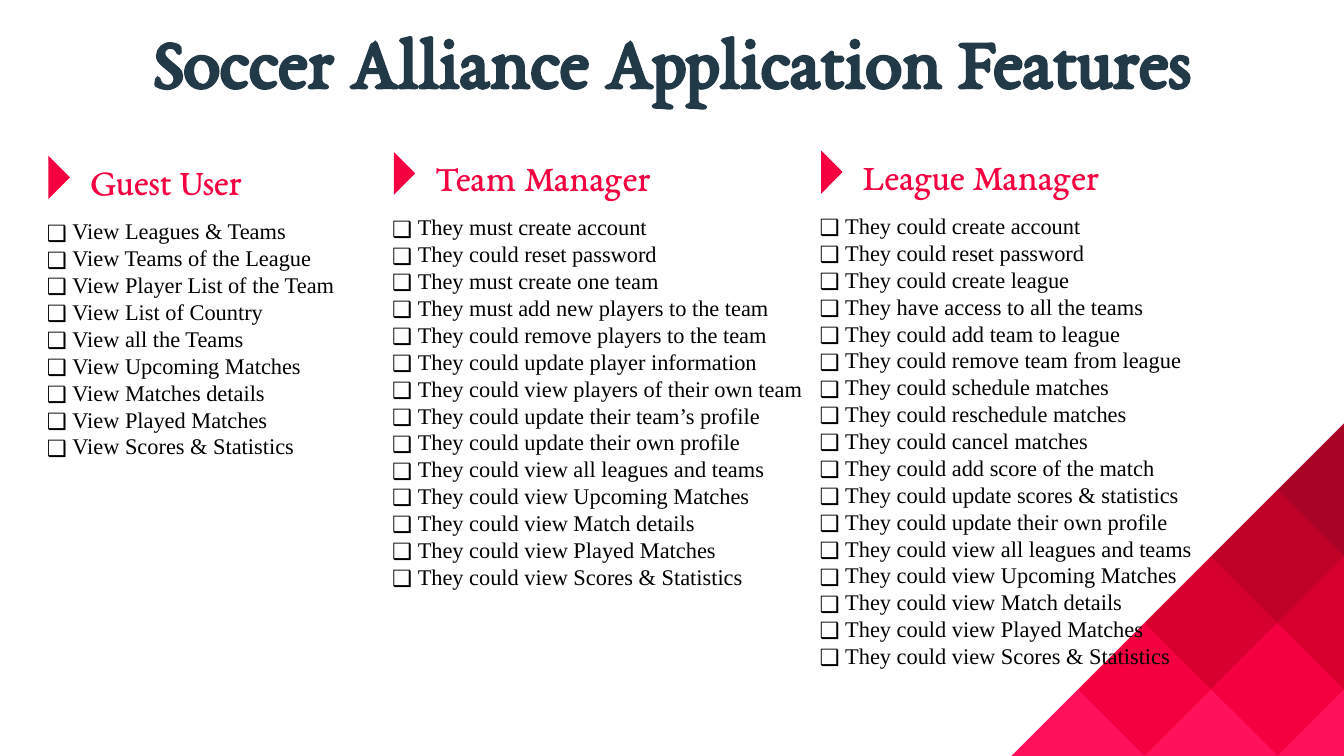
from lxml import etree
from pptx import Presentation
from pptx.dml.color import RGBColor
from pptx.enum.shapes import MSO_SHAPE as Shape
from pptx.enum.text import MSO_ANCHOR as Anchor, MSO_AUTO_SIZE as AutoSize, PP_ALIGN as Align
from pptx.oxml.ns import qn
from pptx.util import Inches, Pt

COLORS = {
    "navy": "223947", "black": "000000", "red": "F40040", "pink": "FF125B",
    "crimson": "D6002E", "dark": "BF0225", "maroon": "A80428",
}
HEADING_FONT, BODY_FONT = "EB Garamond", "Times New Roman"
SLIDE_W, SLIDE_H = 10, 5.625

# left, top, list width, heading width, heading, features
ROLES = [
    (0.25, 1.13, 2.52, 1.8, "Guest User", [
        "View Leagues & Teams",
        "View Teams of the League",
        "View Player List of the Team",
        "View List of Country",
        "View all the Teams",
        "View Upcoming Matches",
        "View Matches details",
        "View Played Matches",
        "View Scores & Statistics",
    ]),
    (2.82, 1.1, 3.3, 2.17, "Team Manager", [
        "They must create account",
        "They could reset password",
        "They must create one team",
        "They must add new players to the team",
        "They could remove players to the team",
        "They could update player information",
        "They could view players of their own team",
        "They could update their team’s profile",
        "They could update their own profile",
        "They could view all leagues and teams",
        "They could view Upcoming Matches",
        "They could view Match details",
        "They could view Played Matches",
        "They could view Scores & Statistics",
    ]),
    (6.0, 1.09, 3.88, 2.44, "League Manager", [
        "They could create account",
        "They could reset password",
        "They could create league",
        "They have access to all the teams",
        "They could add team to league",
        "They could remove team from league",
        "They could schedule matches",
        "They could reschedule matches",
        "They could cancel matches",
        "They could add score of the match",
        "They could update scores & statistics",
        "They could update their own profile",
        "They could view all leagues and teams",
        "They could view Upcoming Matches",
        "They could view Match details",
        "They could view Played Matches",
        "They could view Scores & Statistics",
    ]),
]


def add_piece(slide, preset, center_x, center_y, width, height, color, rotation=0):
    """Add a plain filled shape around its center, in inches."""
    piece = slide.shapes.add_shape(
        preset, Inches(center_x - width / 2), Inches(center_y - height / 2),
        Inches(width), Inches(height))
    piece.rotation = rotation
    piece.shadow.inherit = False
    piece.fill.solid()
    piece.fill.fore_color.rgb = RGBColor.from_string(COLORS[color])
    piece.line.fill.background()


def add_run(paragraph, text, font_name, size, color, bold=False):
    run = paragraph.add_run()
    run.text = text
    run.font.name = font_name
    run.font.size = Pt(size)
    run.font.bold = bold
    run.font.color.rgb = RGBColor.from_string(COLORS[color])


def add_text_frame(slide, left, top, width, height):
    box = slide.shapes.add_textbox(
        Inches(left), Inches(top), Inches(width), Inches(height))
    box.text_frame.word_wrap = True
    box.text_frame.auto_size = AutoSize.SHAPE_TO_FIT_TEXT
    return box.text_frame


def add_checkbox_bullet(paragraph):
    properties = paragraph._p.get_or_add_pPr()
    properties.set("marL", str(Inches(0.19)))
    properties.set("indent", str(-Inches(0.19)))
    bullet_color = etree.SubElement(properties, qn("a:buClr"))
    etree.SubElement(bullet_color, qn("a:srgbClr"), val=COLORS["black"])
    etree.SubElement(properties, qn("a:buFont"), typeface="Noto Sans Symbols")
    etree.SubElement(properties, qn("a:buChar"), char="❑")


def add_corner_mosaic(slide, right, bottom):
    """Diamond tiles on a half-diagonal grid counted from the bottom right corner."""
    half, tile, corner = 0.495, 0.7, 2.46
    add_piece(slide, Shape.RIGHT_TRIANGLE, right - corner / 2, bottom - corner / 2,
              corner, corner, "pink", 270)
    for column, row, color in [(2, 2, "crimson"), (1, 3, "dark"),
                               (1, 1, "red"), (3, 1, "red")]:
        add_piece(slide, Shape.RECTANGLE, right - column * half, bottom - row * half,
                  tile, tile, color, 135)
    for column in (2, 4):
        add_piece(slide, Shape.ISOSCELES_TRIANGLE, right - column * half,
                  bottom - half / 2, 2 * half, half, "pink")
    for row, color in [(2, "crimson"), (4, "maroon")]:
        add_piece(slide, Shape.ISOSCELES_TRIANGLE, right - half / 2,
                  bottom - row * half, 2 * half, half, color, 270)
    add_piece(slide, Shape.RIGHT_TRIANGLE, right - half / 2, bottom - half / 2,
              half, half, "pink", 270)


def add_title(slide, left, top, width, height):
    title = slide.shapes.title
    title.left, title.top = Inches(left), Inches(top)
    title.width, title.height = Inches(width), Inches(height)
    frame = title.text_frame
    frame.margin_left = frame.margin_right = Inches(0.1)
    frame.margin_top = frame.margin_bottom = Inches(0.1)
    frame.vertical_anchor = Anchor.TOP
    frame.auto_size = AutoSize.NONE
    heading = frame.paragraphs[0]
    heading.alignment = Align.CENTER
    add_run(heading, "Soccer Alliance Application Features",
            HEADING_FONT, 40, "navy", bold=True)
    # Bring the title in front of the mosaic
    slide.shapes._spTree.append(title._element)


def add_role_column(slide, left, top, width, heading_width, role, features):
    add_piece(slide, Shape.ISOSCELES_TRIANGLE, left + 0.19, top + 0.19,
              0.32, 0.16, "red", 90)
    heading = add_text_frame(slide, left + 0.32, top, heading_width, 0.44)
    add_run(heading.paragraphs[0], role, HEADING_FONT, 20, "red")

    feature_list = add_text_frame(slide, left, top + 0.44, width,
                                  0.1 + 0.2 * len(features))
    for index, feature in enumerate(features):
        item = feature_list.add_paragraph() if index else feature_list.paragraphs[0]
        add_checkbox_bullet(item)
        add_run(item, feature, BODY_FONT, 12, "black")


def main():
    deck = Presentation()
    deck.slide_width, deck.slide_height = Inches(SLIDE_W), Inches(SLIDE_H)
    slide = deck.slides.add_slide(deck.slide_layouts[5])
    add_corner_mosaic(slide, SLIDE_W, SLIDE_H)
    add_title(slide, 0, 0, SLIDE_W, 0.85)
    for role in ROLES:
        add_role_column(slide, *role)
    deck.save("out.pptx")


if __name__ == "__main__":
    main()
